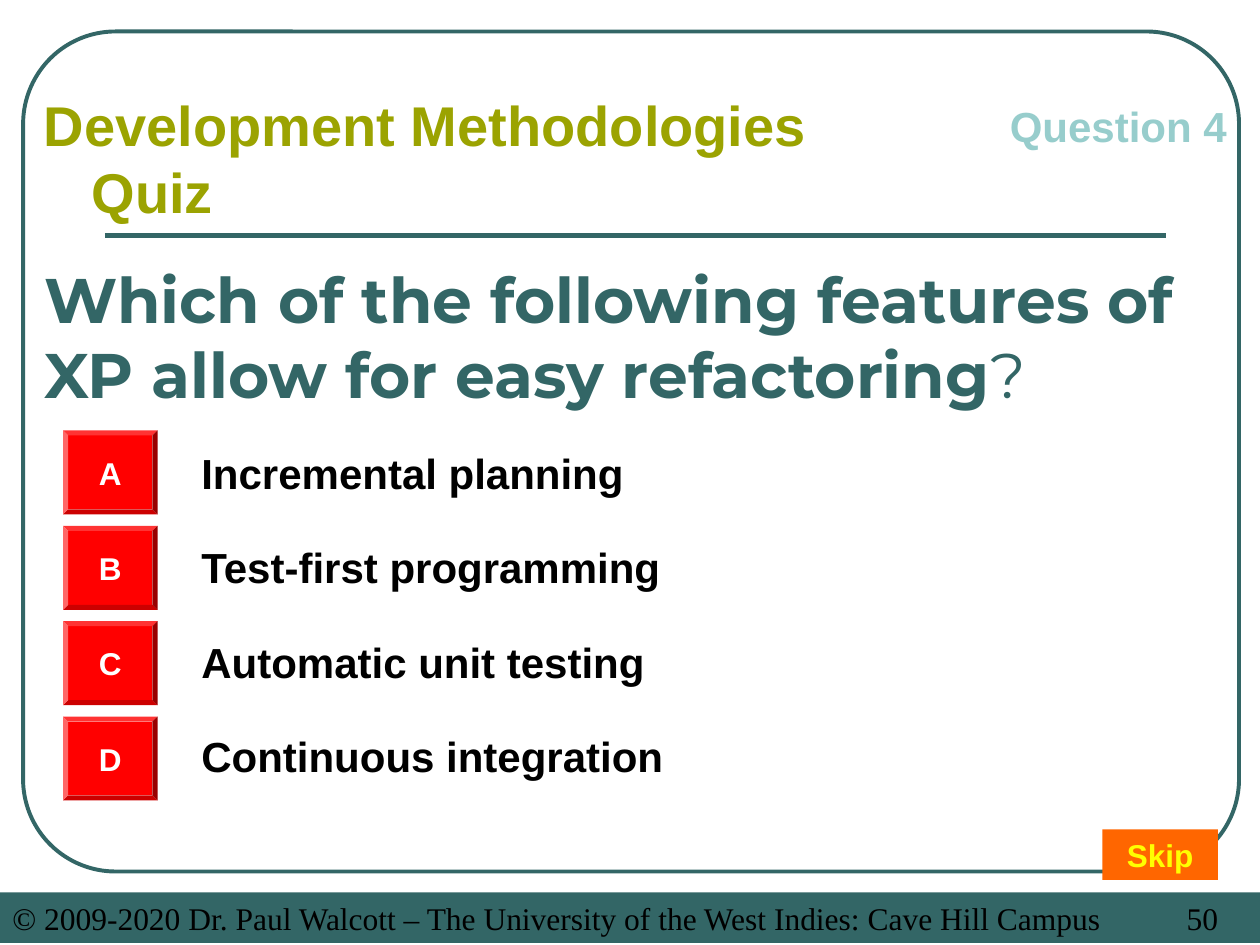
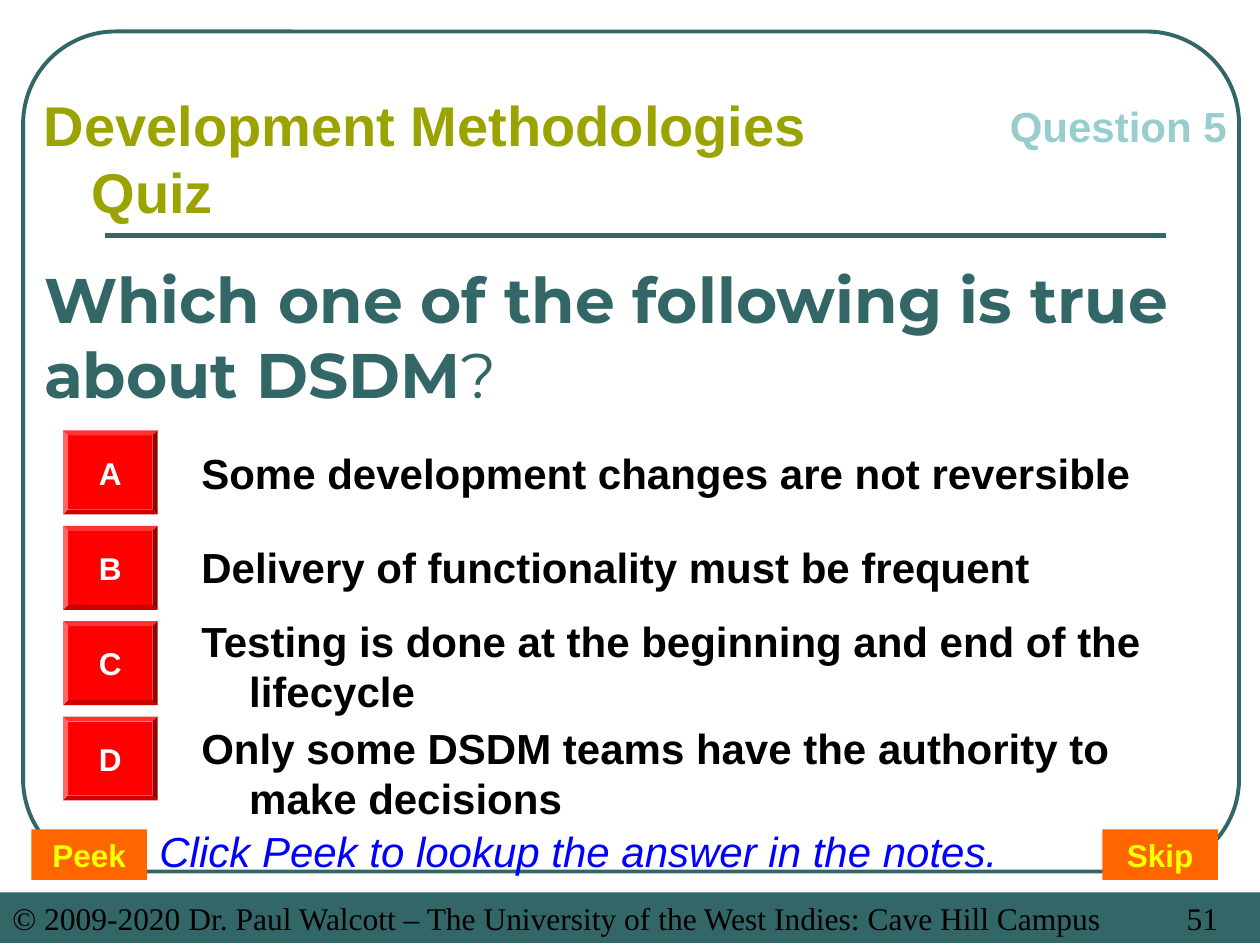
from pptx import Presentation
from pptx.dml.color import RGBColor
from pptx.enum.shapes import MSO_CONNECTOR, MSO_SHAPE
from pptx.enum.text import MSO_ANCHOR, MSO_AUTO_SIZE, PP_ALIGN
from pptx.oxml.ns import qn
from pptx.util import Inches, Pt

RECTANGLE = MSO_SHAPE.RECTANGLE
ROUNDED = MSO_SHAPE.ROUNDED_RECTANGLE
BEVEL = MSO_SHAPE.BEVEL
STRAIGHT = MSO_CONNECTOR.STRAIGHT
TOP, MIDDLE = MSO_ANCHOR.TOP, MSO_ANCHOR.MIDDLE
LEFT, CENTER = PP_ALIGN.LEFT, PP_ALIGN.CENTER
NO_AUTOFIT = MSO_AUTO_SIZE.NONE

TEAL = RGBColor(0x33, 0x66, 0x66)
PALE_TEAL = RGBColor(0x97, 0xCD, 0xCC)
OLIVE = RGBColor(0x9B, 0xA3, 0x01)
RED = RGBColor(0xFF, 0x00, 0x00)
ORANGE = RGBColor(0xFF, 0x66, 0x00)
YELLOW = RGBColor(0xFF, 0xFF, 0x00)
BLUE = RGBColor(0x00, 0x00, 0xFF)
BLACK = RGBColor(0x00, 0x00, 0x00)
WHITE = RGBColor(0xFF, 0xFF, 0xFF)

SLIDE_WIDTH, SLIDE_HEIGHT = Inches(10), Inches(7.5)
COLUMNS, ROWS = 120, 90
HANGING = Inches(0.38)
NUMBER_TAB = Inches(9.32)
OPTION_TOP, OPTION_PITCH = 41, 9.08
ANSWER_TOP, ANSWER_PITCH = 42, 9
COPYRIGHT = "© 2009-2020 Dr. Paul Walcott – The University of the West Indies: Cave Hill Campus"
QUIZ_NAME = "Development Methodologies Quiz"


class QuizDeck:
    def __init__(self):
        self.presentation = Presentation()
        self.presentation.slide_width = SLIDE_WIDTH
        self.presentation.slide_height = SLIDE_HEIGHT
        self.slide = None

    def grid(self, left, top, width, height):
        column, row = SLIDE_WIDTH / COLUMNS, SLIDE_HEIGHT / ROWS
        return (round(left * column), round(top * row),
                round(width * column), round(height * row))

    def set_text(self, shape, text, size, color, font="Arial", bold=True, italic=False,
                 align=LEFT, anchor=TOP, hanging=False):
        frame = shape.text_frame
        frame.word_wrap = True
        frame.vertical_anchor = anchor
        paragraph = frame.paragraphs[0]
        paragraph.text = text
        paragraph.alignment = align
        if hanging:
            properties = paragraph._p.get_or_add_pPr()
            properties.set("marL", str(HANGING))
            properties.set("indent", str(-HANGING))
        paragraph.font.name = font
        paragraph.font.size = Pt(size)
        paragraph.font.bold = bold
        paragraph.font.italic = italic
        paragraph.font.color.rgb = color
        return paragraph

    def text(self, box, text, size, color, **style):
        shape = self.slide.shapes.add_textbox(*self.grid(*box))
        self.set_text(shape, text, size, color, **style)

    def shape(self, kind, box, fill=None):
        shape = self.slide.shapes.add_shape(kind, *self.grid(*box))
        shape.shadow.inherit = False
        shape.line.fill.background()
        if fill is None:
            shape.fill.background()
        else:
            shape.fill.solid()
            shape.fill.fore_color.rgb = fill
        return shape

    def rule(self, left, top, width):
        x, y, length, _ = self.grid(left, top, width, 0)
        rule = self.slide.shapes.add_connector(STRAIGHT, x, y, x + length, y)
        rule.line.color.rgb = TEAL
        rule.line.width = Pt(3)
        properties = rule._element.spPr
        properties.append(properties.makeelement(qn("a:effectLst"), {}))

    def frame(self):
        border = self.shape(ROUNDED, (2.2, 3, 115.8, 80))
        border.adjustments[0] = 0.11
        border.line.color.rgb = TEAL
        border.line.width = Pt(2.25)
        self.rule(10, 22.4, 101)

    def footer(self, number):
        band = self.shape(RECTANGLE, (0, 85, COLUMNS, 4.8), TEAL)
        properties = band.text_frame.paragraphs[0]._p.get_or_add_pPr()
        tabs = properties.makeelement(qn("a:tabLst"), {})
        tabs.append(tabs.makeelement(qn("a:tab"), {"pos": str(NUMBER_TAB), "algn": "l"}))
        properties.append(tabs)
        self.set_text(band, f"{COPYRIGHT}\t{number}", 18, BLACK,
                      font="Times New Roman", bold=False)

    def title(self, question):
        title = self.slide.shapes.title
        title.left, title.top, title.width, title.height = self.grid(3, 23, 114, 18)
        title.text_frame.auto_size = NO_AUTOFIT
        paragraph = self.set_text(title, question, 36, TEAL, font="Montserrat", anchor=MIDDLE)
        mark = paragraph.add_run()
        mark.text = "?"
        mark.font.bold = False

    def option(self, index, answer, answer_top):
        button = self.shape(BEVEL, (6, OPTION_TOP + index * OPTION_PITCH, 9, 8), RED)
        button.adjustments[0] = 0.06
        self.set_text(button, "ABCD"[index], 18, WHITE, align=CENTER, anchor=MIDDLE)
        self.text((18, answer_top, 97, 6), answer, 24, BLACK, hanging=True)

    def button(self, left, label):
        button = self.shape(RECTANGLE, (left, 79, 11, 4.8), ORANGE)
        self.set_text(button, label, 18, YELLOW, align=CENTER, anchor=MIDDLE)

    def question(self, number, page, question, answers, moved_tops=None, peek=False):
        layout = self.presentation.slide_layouts.get_by_name("Title Only")
        self.slide = self.presentation.slides.add_slide(layout)
        self.frame()
        self.footer(page)
        self.title(question)
        self.text((95, 9, 25, 6), f"Question {number}", 24, PALE_TEAL)
        self.text((3, 8, 78, 14), QUIZ_NAME, 32, OLIVE, hanging=True)
        for index, answer in enumerate(answers):
            top = (moved_tops or {}).get(index, ANSWER_TOP + index * ANSWER_PITCH)
            self.option(index, answer, top)
        self.button(105, "Skip")
        if peek:
            self.button(3, "Peek")
            self.text((14, 78, 86, 6), "Click Peek to lookup the answer in the notes.",
                      24, BLUE, bold=False, italic=True)


def main():
    deck = QuizDeck()
    deck.question(4, 50, "Which of the following features of XP allow for easy refactoring", [
        "Incremental planning",
        "Test-first programming",
        "Automatic unit testing",
        "Continuous integration",
    ])
    deck.question(5, 51, "Which one of the following is true about DSDM", [
        "Some development changes are not reversible",
        "Delivery of functionality must be frequent",
        "Testing is done at the beginning and end of the lifecycle",
        "Only some DSDM teams have the authority to make decisions",
    ], moved_tops={2: 58, 3: 68.2}, peek=True)
    deck.presentation.save("out.pptx")


if __name__ == "__main__":
    main()
